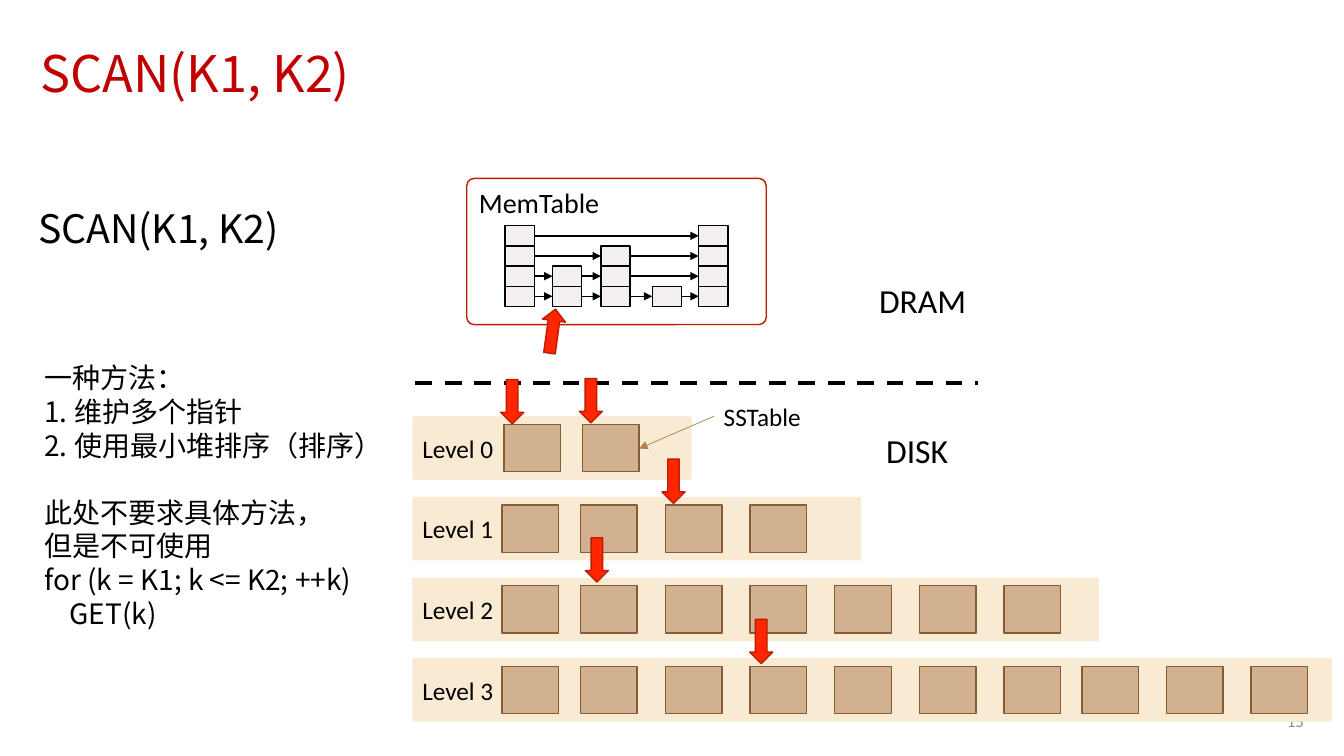
from dataclasses import dataclass
from itertools import pairwise

from lxml.etree import SubElement
from pptx import Presentation
from pptx.dml.color import RGBColor
from pptx.enum.dml import MSO_LINE
from pptx.enum.shapes import MSO_CONNECTOR, MSO_SHAPE
from pptx.enum.text import MSO_ANCHOR, MSO_AUTO_SIZE, PP_ALIGN
from pptx.oxml.ns import qn
from pptx.util import Inches, Pt


@dataclass(frozen=True)
class Theme:
    latin: str = "Calibri"
    chinese: str = "Noto Sans CJK SC"
    black: str = "000000"
    title_red: str = "C00000"
    page_grey: str = "8C8C8C"
    band: str = "F9EAD3"
    table: str = "D2B191"
    table_edge: str = "845C36"
    callout: str = "B27D49"
    node: str = "E7DEDA"
    pointer: str = "FF2600"
    pointer_edge: str = "BD1C00"
    title_size: int = 36
    heading_size: int = 28
    zone_size: int = 24
    body_size: int = 20
    label_size: int = 18
    page_size: int = 12


@dataclass(frozen=True)
class Box:
    left: float
    top: float
    width: float
    height: float

    def emu(self):
        return [Inches(v) for v in (self.left, self.top, self.width, self.height)]


@dataclass(frozen=True)
class Level:
    width: float
    tables: int
    shift: float = 0


@dataclass(frozen=True)
class Tower:
    left: float
    height: int


@dataclass(frozen=True)
class Pointer:
    left: float
    top: float
    rotation: float = 90


@dataclass(frozen=True)
class Line:
    text: str
    indent: float = 0
    before: int = 0


THEME = Theme()
LEVELS = [Level(2.77, 2, 0.02), Level(4.45, 4), Level(6.81, 7), Level(9.12, 10)]
TOWERS = [Tower(5.01, 4), Tower(5.48, 2), Tower(5.96, 3), Tower(6.47, 1), Tower(6.93, 4)]
POINTERS = [Pointer(4.86, 3.87), Pointer(5.64, 3.86), Pointer(6.46, 4.66),
            Pointer(5.7, 5.44), Pointer(7.33, 6.25), Pointer(5.26, 3.17, 277.8)]
METHOD = [Line("一种方法："), Line("1. 维护多个指针"), Line("2. 使用最小堆排序（排序）"),
          Line("此处不要求具体方法，", before=24), Line("但是不可使用"),
          Line("for (k = K1; k <= K2; ++k)"), Line("GET(k)", indent=0.25)]


def rgb(color: str) -> RGBColor:
    return RGBColor.from_string(color)


def style(paragraph, size: int, color: str = THEME.black, face: str = THEME.latin,
          align=PP_ALIGN.LEFT) -> None:
    paragraph.alignment = align
    font = paragraph.font
    font.size, font.name = Pt(size), face
    font.color.rgb = rgb(color)
    # East Asian text takes its face from a separate element
    SubElement(paragraph._p.pPr.find(qn("a:defRPr")), qn("a:ea"), typeface=face)


def add_box(box: Box, fill: str | None = None, edge: str | None = None,
            kind=MSO_SHAPE.RECTANGLE):
    shape = slide.shapes.add_shape(kind, *box.emu())
    shape.shadow.inherit = False
    if fill:
        shape.fill.solid()
        shape.fill.fore_color.rgb = rgb(fill)
    else:
        shape.fill.background()
    if edge:
        shape.line.color.rgb = rgb(edge)
        shape.line.width = Pt(1)
    else:
        shape.line.fill.background()
    return shape


def set_label(shape, text: str, size: int, anchor=MSO_ANCHOR.TOP) -> None:
    frame = shape.text_frame
    frame.text, frame.vertical_anchor = text, anchor
    style(frame.paragraphs[0], size)


def add_text(box: Box, text: str, size: int, color: str = THEME.black,
             face: str = THEME.latin, align=PP_ALIGN.LEFT, wrap: bool = False):
    frame = slide.shapes.add_textbox(*box.emu()).text_frame
    frame.text, frame.word_wrap = text, wrap
    style(frame.paragraphs[0], size, color, face, align)
    return frame


def add_line(start: tuple, end: tuple, color: str, width: float,
             dash=None, arrow: bool = True):
    line = slide.shapes.add_connector(
        MSO_CONNECTOR.STRAIGHT, *(Inches(v) for v in (*start, *end)))
    line.line.color.rgb = rgb(color)
    line.line.width = Pt(width)
    if dash:
        line.line.dash_style = dash
    properties = line._element.spPr
    if arrow:
        SubElement(properties.find(qn("a:ln")), qn("a:tailEnd"), type="triangle")
    SubElement(properties, qn("a:effectLst"))
    return line


def place(placeholder, box: Box):
    placeholder.left, placeholder.top, placeholder.width, placeholder.height = box.emu()
    frame = placeholder.text_frame
    frame.word_wrap, frame.auto_size = True, MSO_AUTO_SIZE.NONE
    return frame


def table_left(column: int) -> float:
    # Even pitch, slightly tighter after the first and the seventh column
    return 4.98 + 0.84 * column - 0.06 * (column >= 1) - 0.07 * (column >= 7)


deck = Presentation()
deck.slide_width, deck.slide_height = Inches(13.33), Inches(7.5)
slide = deck.slides.add_slide(deck.slide_layouts[1])

# Title
title = place(slide.shapes.title, Box(0.3, 0.4, 12.73, 0.71))
title.text, title.vertical_anchor = "SCAN(K1, K2)", MSO_ANCHOR.MIDDLE
title.paragraphs[0].line_spacing = 0.9
style(title.paragraphs[0], THEME.title_size, THEME.title_red, THEME.chinese)

# Method list
method = place(slide.placeholders[1], Box(0.34, 3.53, 3.86, 2.79))
method.vertical_anchor = MSO_ANCHOR.TOP
method.text = "\n".join(line.text for line in METHOD)
for paragraph, line in zip(method.paragraphs, METHOD):
    properties = paragraph._p.get_or_add_pPr()
    properties.set("marL", str(Inches(line.indent)))
    properties.set("indent", "0")
    SubElement(properties, qn("a:buNone"))
    paragraph.line_spacing, paragraph.space_before = Pt(24), Pt(line.before)
    style(paragraph, THEME.body_size, face=THEME.chinese)

# Page number, partly behind the lowest level
page = add_text(Box(9.42, 6.95, 3.61, 0.4), "15", THEME.page_size, THEME.page_grey,
                align=PP_ALIGN.RIGHT, wrap=True)
page.vertical_anchor = MSO_ANCHOR.MIDDLE

# Disk levels with their SSTables
for number, level in enumerate(LEVELS):
    top = 4.13 + 0.8 * number
    band = add_box(Box(4.09, top, level.width, 0.63), THEME.band)
    set_label(band, f"Level {number}", THEME.label_size, MSO_ANCHOR.MIDDLE)
    for column in range(level.tables):
        add_box(Box(table_left(column) + level.shift, top + 0.08, 0.56, 0.47),
                THEME.table, THEME.table_edge)

# MemTable and its skip list
memtable = add_box(Box(4.63, 1.77, 2.97, 1.45), edge=THEME.pointer_edge,
                   kind=MSO_SHAPE.ROUNDED_RECTANGLE)
memtable.adjustments[0] = 0.05
set_label(memtable, "MemTable", THEME.body_size)

nodes = {}
for tower in TOWERS:
    for height in range(tower.height):
        node = add_box(Box(tower.left, 2.84 - 0.2 * height, 0.29, 0.2),
                       THEME.node, THEME.black)
        color = node._element.spPr.find(qn("a:solidFill"))[0]
        SubElement(color, qn("a:alpha"), val="46000")
        nodes[tower, height] = node

for height in range(4):
    reached = [tower for tower in TOWERS if tower.height > height]
    for source, target in pairwise(reached):
        link = add_line((0, 0), (1, 1), THEME.black, 1)
        link.begin_connect(nodes[source, height], 3)
        link.end_connect(nodes[target, height], 1)

# Border between memory and disk
add_line((4.12, 3.8), (9.7, 3.8), THEME.black, 3, MSO_LINE.DASH, arrow=False)
add_text(Box(8.62, 2.73, 1.07, 0.5), "DRAM", THEME.zone_size)
add_text(Box(8.69, 4.22, 0.82, 0.5), "DISK", THEME.zone_size)

# SSTable callout
add_text(Box(7.08, 3.93, 0.97, 0.4), "SSTable", THEME.label_size)
add_line((7.08, 4.13), (6.34, 4.45), THEME.callout, 0.5)

# Operation heading
add_text(Box(0.28, 1.98, 2.72, 0.57), "SCAN(K1, K2)", THEME.heading_size,
         face=THEME.chinese)

# Scan pointers
for pointer in POINTERS:
    arrow = add_box(Box(pointer.left, pointer.top, 0.44, 0.23), THEME.pointer,
                    THEME.pointer_edge, MSO_SHAPE.RIGHT_ARROW)
    arrow.rotation = pointer.rotation

deck.save("out.pptx")
